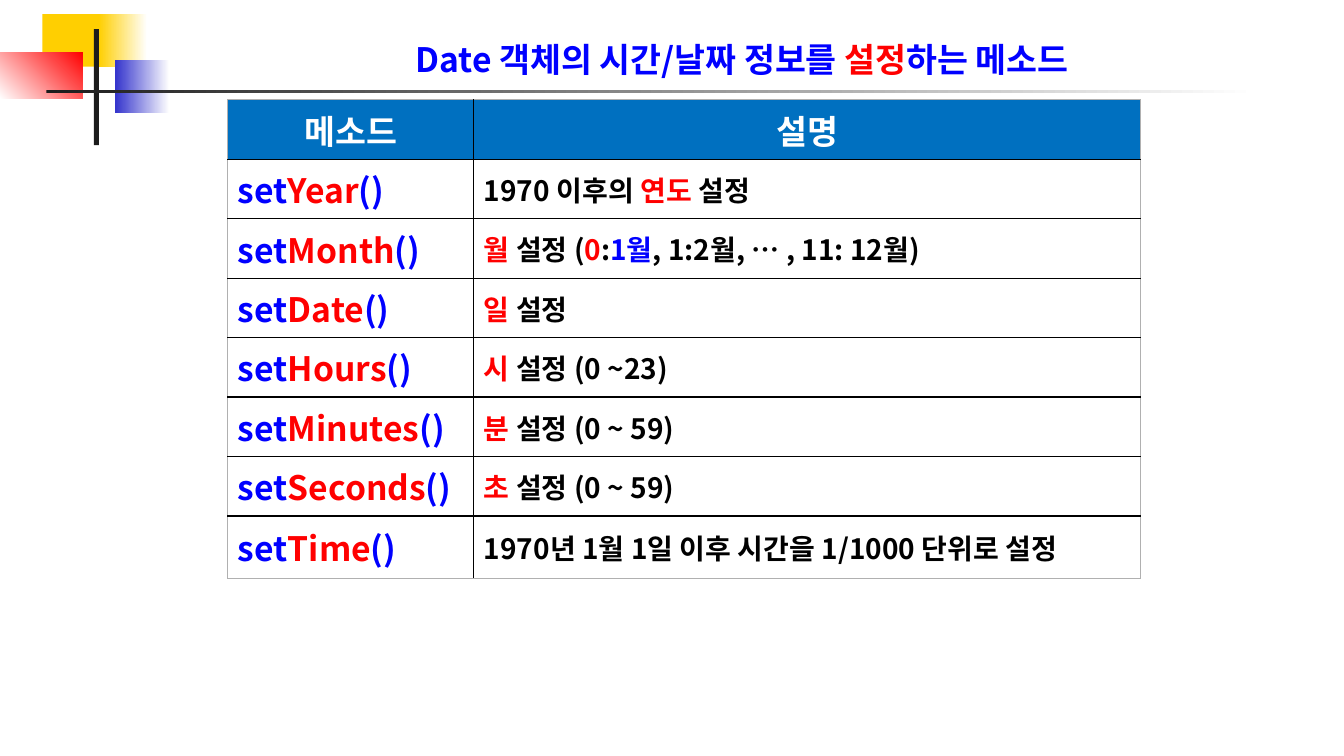
"""Build the slide listing the methods that set date and time on a Date object."""
from dataclasses import dataclass
from typing import Optional

from lxml import etree
from pptx import Presentation
from pptx.dml.color import RGBColor
from pptx.enum import shapes, text
from pptx.oxml import ns
from pptx.util import Inches, Pt

FONT = "Noto Sans CJK KR"
BLACK = RGBColor(0x00, 0x00, 0x00)
WHITE = RGBColor(0xFF, 0xFF, 0xFF)
RED = RGBColor(0xFF, 0x00, 0x00)
BLUE = RGBColor(0x00, 0x00, 0xFF)
HEADER_BLUE = RGBColor(0x00, 0x70, 0xC0)
YELLOW = RGBColor(0xFF, 0xCF, 0x01)
INDIGO = RGBColor(0x33, 0x33, 0xCC)
CHARCOAL = RGBColor(0x1C, 0x1C, 0x1C)
GRAY = RGBColor(0xB0, 0xB0, 0xB0)


@dataclass
class Block:
    left: float
    top: float
    width: float
    height: float
    start: RGBColor
    end: Optional[RGBColor] = None
    angle: int = 0


@dataclass
class Span:
    words: str
    color: RGBColor = BLACK


@dataclass
class Method:
    name: str
    description: list[Span]


BLOCKS = [
    Block(0.42, 0.14, 0.64, 0.52, YELLOW),
    Block(0.98, 0.14, 0.48, 0.52, YELLOW, WHITE),
    Block(1.14, 0.6, 0.54, 0.52, INDIGO, WHITE),
    Block(0, 0.52, 0.82, 0.46, WHITE, RED, 45),
    Block(0.93, 0.29, 0.05, 1.15, CHARCOAL),
    Block(0.46, 0.89, 12, 0.03, CHARCOAL, WHITE),
]
TITLE = [Span("Date 객체의 시간/날짜 정보를 ", BLUE), Span("설정", RED), Span("하는 메소드", BLUE)]
HEADINGS = ["메소드", "설명"]
METHODS = [
    Method("Year", [Span("1970 이후의 "), Span("연도", RED), Span(" 설정")]),
    Method("Month", [Span("월", RED), Span(" 설정 ("), Span("0", RED), Span(":"),
                     Span("1월", BLUE), Span(", 1:2월, … , 11: 12월)")]),
    Method("Date", [Span("일", RED), Span(" 설정")]),
    Method("Hours", [Span("시", RED), Span(" 설정 (0 ~23)")]),
    Method("Minutes", [Span("분", RED), Span(" 설정 (0 ~ 59)")]),
    Method("Seconds", [Span("초", RED), Span(" 설정 (0 ~ 59)")]),
    Method("Time", [Span("1970년 1월 1일 이후 시간을 1/1000 단위로 설정")]),
]
COLUMN_WIDTHS = [2.44, 6.61]
ROW_HEIGHTS = [0.59] * len(METHODS) + [0.62]


def add_block(page, block: Block) -> None:
    shape = page.shapes.add_shape(
        shapes.MSO_SHAPE.RECTANGLE, Inches(block.left), Inches(block.top),
        Inches(block.width), Inches(block.height))
    shape.shadow.inherit = False
    shape.line.fill.background()
    if block.end is None:
        shape.fill.solid()
        shape.fill.fore_color.rgb = block.start
        return
    shape.fill.gradient()
    shape.fill.gradient_angle = block.angle
    for stop, color in zip(shape.fill.gradient_stops, (block.start, block.end)):
        stop.color.rgb = color


def write(para, spans: list[Span], size: int, align=text.PP_ALIGN.LEFT) -> None:
    para.alignment = align
    para.font.name = FONT
    para.font.size = Pt(size)
    para.font.bold = True
    defaults = para._p.pPr.find(ns.qn("a:defRPr"))
    etree.SubElement(defaults, ns.qn("a:ea"), typeface=FONT)
    for span in spans:
        run = para.add_run()
        run.text = span.words
        run.font.color.rgb = span.color


def set_borders(cell, colors: dict[str, RGBColor]) -> None:
    properties = cell._tc.get_or_add_tcPr()
    for position, (side, color) in enumerate(colors.items()):
        line = etree.Element(ns.qn(f"a:{side}"), w=str(Pt(1)))
        fill = etree.SubElement(line, ns.qn("a:solidFill"))
        etree.SubElement(fill, ns.qn("a:srgbClr"), val=str(color))
        properties.insert(position, line)


def add_method_table(page) -> None:
    frame = page.shapes.add_table(
        len(ROW_HEIGHTS), len(COLUMN_WIDTHS), Inches(2.26), Inches(0.99),
        Inches(sum(COLUMN_WIDTHS)), Inches(sum(ROW_HEIGHTS)))
    table = frame.table
    table.horz_banding = False
    for column, width in zip(table.columns, COLUMN_WIDTHS):
        column.width = Inches(width)
    for row, height in zip(table.rows, ROW_HEIGHTS):
        row.height = Inches(height)

    for index, heading in enumerate(HEADINGS):
        cell = table.cell(0, index)
        cell.fill.solid()
        cell.fill.fore_color.rgb = HEADER_BLUE
        write(cell.text_frame.paragraphs[0], [Span(heading, WHITE)], 24, text.PP_ALIGN.CENTER)
    for index, method in enumerate(METHODS, start=1):
        name, description = table.rows[index].cells
        call = [Span("set", BLUE), Span(method.name, RED), Span("()", BLUE)]
        write(name.text_frame.paragraphs[0], call, 24)
        write(description.text_frame.paragraphs[0], method.description, 20)
        for cell in (name, description):
            cell.fill.background()

    last_row, last_column = len(ROW_HEIGHTS) - 1, len(COLUMN_WIDTHS) - 1
    for r, row in enumerate(table.rows):
        for c, cell in enumerate(row.cells):
            cell.vertical_anchor = text.MSO_ANCHOR.MIDDLE
            set_borders(cell, {
                "lnL": GRAY if c == 0 else BLACK,
                "lnR": GRAY if c == last_column else BLACK,
                "lnT": GRAY if r == 0 else BLACK,
                "lnB": GRAY if r == last_row else BLACK,
            })


def main() -> None:
    deck = Presentation()
    deck.slide_width, deck.slide_height = Inches(13.33), Inches(7.5)
    page = deck.slides.add_slide(deck.slide_layouts[5])
    for block in BLOCKS:
        add_block(page, block)
    title = page.shapes.title
    title.left, title.top = Inches(1.68), Inches(0.23)
    title.width, title.height = Inches(11.36), Inches(0.61)
    title.text_frame.vertical_anchor = text.MSO_ANCHOR.BOTTOM
    write(title.text_frame.paragraphs[0], TITLE, 24, text.PP_ALIGN.CENTER)
    add_method_table(page)
    deck.save("out.pptx")


if __name__ == "__main__":
    main()
